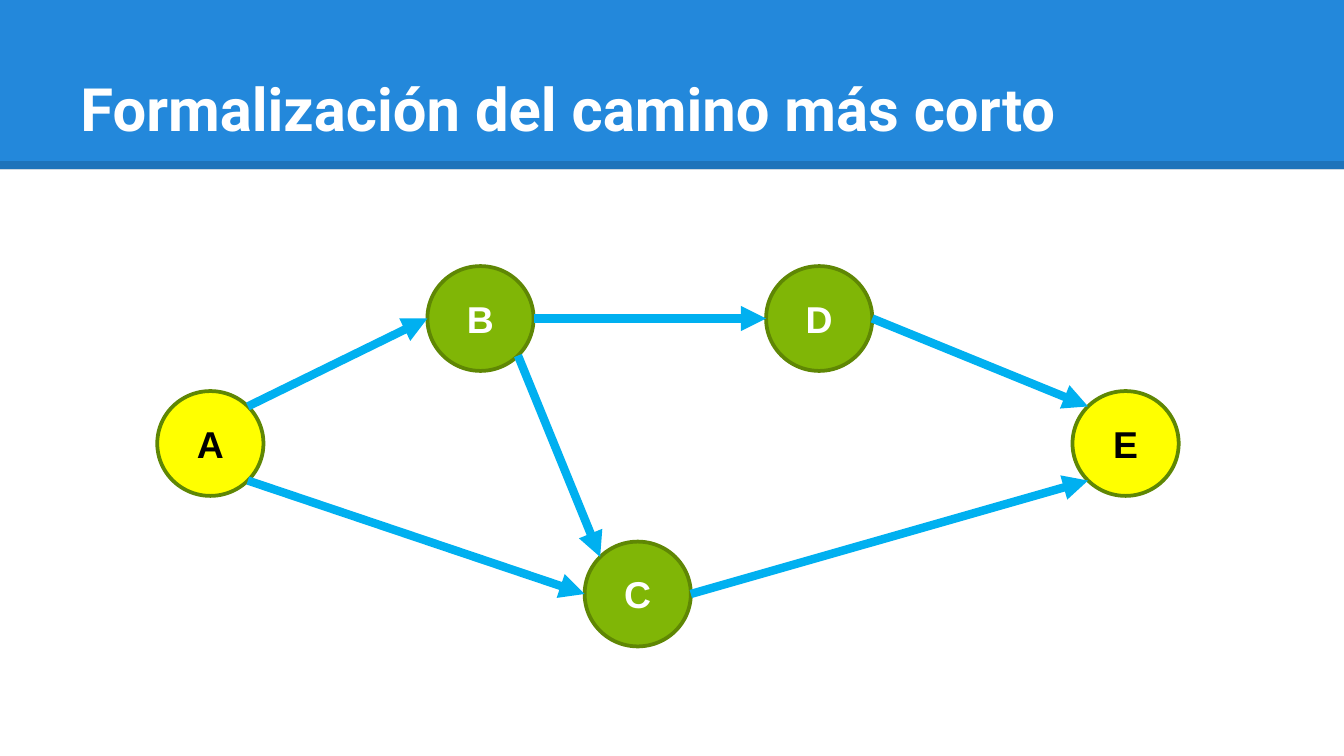
import math

import pptx
import pptx.dml.color
import pptx.enum.shapes
import pptx.enum.text
import pptx.oxml
import pptx.oxml.ns
import pptx.util
from pptx.util import Inches

TITLE = "Formalización del camino más corto"
BLUE, ARROW_BLUE, GREEN, DARK_GREEN = "2388DB", "00B0F0", "80B606", "5F8704"
YELLOW, BLACK, WHITE = "FFFF00", "000000", "FFFFFF"

SLIDE_WIDTH = 10
SLIDE_HEIGHT = SLIDE_WIDTH * 9 / 16
NODE_WIDTH, NODE_HEIGHT = 0.79, 0.78
# name: (left, top, fill, text colour)
NODES = {
    "A": (1.17, 2.91, YELLOW, BLACK),
    "C": (4.35, 4.03, GREEN, WHITE),
    "D": (5.7, 1.98, GREEN, WHITE),
    "E": (7.98, 2.91, YELLOW, BLACK),
    "B": (3.18, 1.98, GREEN, WHITE),
}
# start node, angle on its rim, end node, angle on its rim (clockwise from the right)
EDGES = [
    ("A", -45, "B", 180),
    ("A", 45, "C", 180),
    ("B", 0, "D", 180),
    ("D", 0, "E", -135),
    ("C", 0, "E", 135),
    ("B", 45, "C", -135),
]


def color(value):
    return pptx.dml.color.RGBColor.from_string(value)


def add_element(parent, tag, **attributes):
    element = pptx.oxml.parse_xml(f"<a:{tag} {pptx.oxml.ns.nsdecls('a')}/>")
    for name, value in attributes.items():
        element.set(name, value)
    parent.append(element)


def add_text(shape, text, font_name, size, text_color):
    run = shape.text_frame.paragraphs[0].add_run()
    run.text = text
    run.font.name = font_name
    run.font.size = pptx.util.Pt(size)
    run.font.bold = True
    run.font.color.rgb = color(text_color)


def add_shape(slide, kind, left, top, width, height, fill):
    shape = slide.shapes.add_shape(
        kind, Inches(left), Inches(top), Inches(width), Inches(height))
    shape.shadow.inherit = False
    shape.fill.solid()
    shape.fill.fore_color.rgb = color(fill)
    return shape


def add_line(slide, start, end, line_color):
    line = slide.shapes.add_connector(
        pptx.enum.shapes.MSO_CONNECTOR.STRAIGHT, *map(Inches, start + end))
    line.line.color.rgb = color(line_color)
    line.line.width = pptx.util.Pt(4.5)
    add_element(line._element.spPr, "effectLst")
    return line


def add_header(slide):
    band = add_shape(slide, pptx.enum.shapes.MSO_SHAPE.RECTANGLE,
                     0, 0, SLIDE_WIDTH, 1.26, BLUE)
    band.line.fill.background()
    rule = add_line(slide, (0, 1.23), (SLIDE_WIDTH, 1.23), BLACK)
    rule_color = rule.line._ln.find(".//" + pptx.oxml.ns.qn("a:srgbClr"))
    add_element(rule_color, "alpha", val="14000")

    title = slide.shapes.add_textbox(Inches(0.5), Inches(0.23), Inches(9), Inches(0.94))
    frame = title.text_frame
    frame.word_wrap = True
    frame.vertical_anchor = pptx.enum.text.MSO_ANCHOR.BOTTOM
    frame.margin_top = frame.margin_bottom = Inches(0.1)
    add_text(title, TITLE, "Roboto", 32, WHITE)


def add_node(slide, name):
    left, top, fill, text_color = NODES[name]
    node = add_shape(slide, pptx.enum.shapes.MSO_SHAPE.OVAL,
                     left, top, NODE_WIDTH, NODE_HEIGHT, fill)
    node.line.color.rgb = color(DARK_GREEN)
    node.line.width = pptx.util.Pt(2)
    node.text_frame.vertical_anchor = pptx.enum.text.MSO_ANCHOR.MIDDLE
    node.text_frame.paragraphs[0].alignment = pptx.enum.text.PP_ALIGN.CENTER
    add_text(node, name, "Arial", 20, text_color)


def rim_point(name, angle):
    left, top = NODES[name][:2]
    radians = math.radians(angle)
    return (left + NODE_WIDTH / 2 * (1 + math.cos(radians)),
            top + NODE_HEIGHT / 2 * (1 + math.sin(radians)))


def main():
    presentation = pptx.Presentation()
    presentation.slide_width = Inches(SLIDE_WIDTH)
    presentation.slide_height = Inches(SLIDE_HEIGHT)
    slide = presentation.slides.add_slide(presentation.slide_layouts[6])

    add_header(slide)
    for name in NODES:
        add_node(slide, name)
    for start, start_angle, end, end_angle in EDGES:
        arrow = add_line(slide, rim_point(start, start_angle),
                         rim_point(end, end_angle), ARROW_BLUE)
        add_element(arrow.line._ln, "tailEnd", type="triangle")

    presentation.save("out.pptx")


if __name__ == "__main__":
    main()
